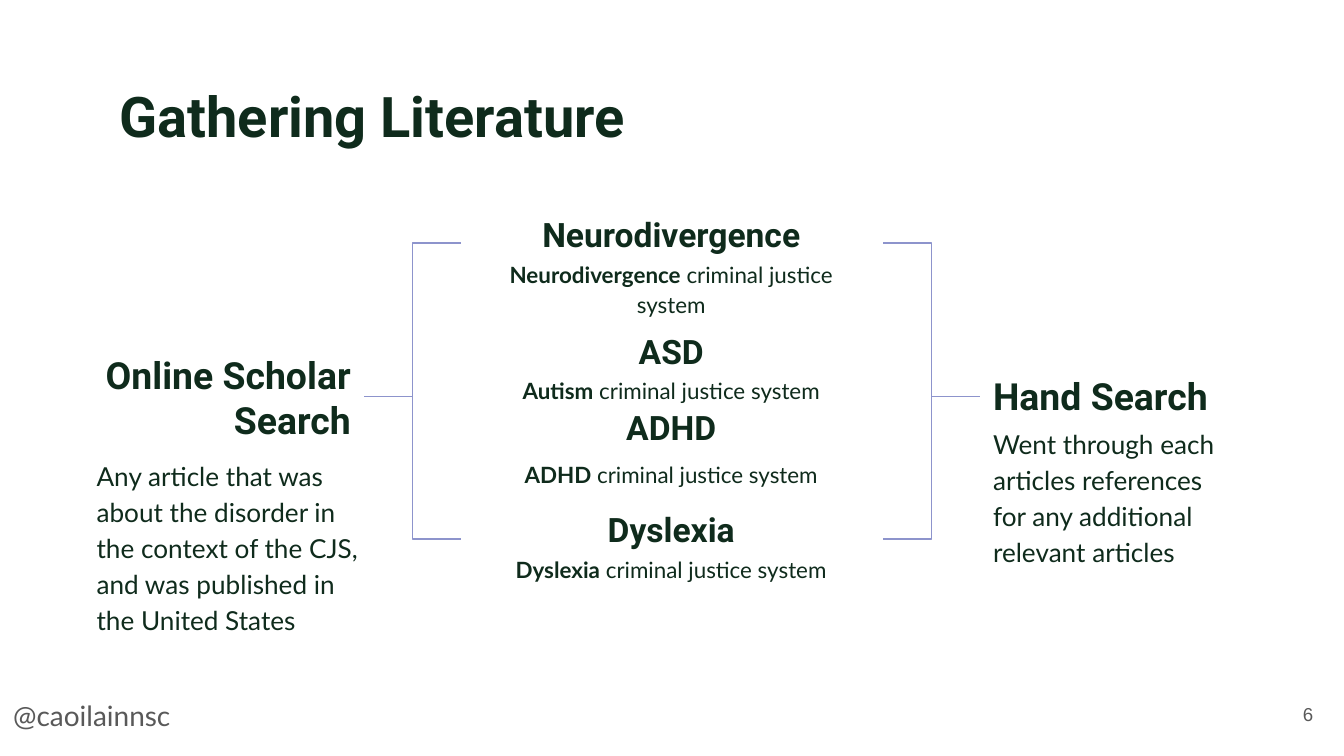
"""Build the Gathering Literature slide: two search methods bracketing four search terms."""
from dataclasses import dataclass

from pptx import Presentation
from pptx.dml.color import RGBColor
from pptx.enum.shapes import MSO_CONNECTOR as Conn
from pptx.enum.text import MSO_ANCHOR as Anchor, MSO_AUTO_SIZE as AutoSize, PP_ALIGN as Align
from pptx.oxml.ns import qn
from pptx.shapes.autoshape import Shape
from pptx.slide import Slide
from pptx.util import Inches, Pt

COLORS = {"ink": "0F2B1C", "muted": "595959", "bracket": "8D94CC"}
Box = tuple[float, float, float, float]
TERM_LEFT, TERM_WIDTH = 3.43, 3.13


@dataclass(frozen=True)
class Style:
    size: float
    font: str = "Lato"
    color: str = "ink"
    bold: bool = False
    align: Align = Align.LEFT
    anchor: Anchor = Anchor.TOP
    spacing: float = 1.0


@dataclass(frozen=True)
class Term:
    heading: str
    keyword: str
    heading_top: float
    query_top: float
    query_height: float


@dataclass(frozen=True)
class Method:
    heading: str
    heading_box: Box
    align: Align
    detail: str
    detail_box: Box
    joint_x: float
    bracket_x: float


TITLE = Style(30, "Roboto", bold=True)
TERM_HEADING = Style(18, "Roboto", bold=True, align=Align.CENTER, anchor=Anchor.BOTTOM)
QUERY = Style(12, align=Align.CENTER, spacing=1.15)
DETAIL = Style(14, spacing=1.15)
HANDLE = Style(15, color="muted")
PAGE = Style(10, "Arial", "muted", align=Align.RIGHT, anchor=Anchor.MIDDLE)

TERMS = [
    Term("Neurodivergence", "Neurodivergence", 1.63, 1.81, 0.52),
    Term("ASD", "Autism", 2.5, 2.68, 0.36),
    Term("ADHD", "ADHD", 3.07, 3.3, 0.43),
    Term("Dyslexia", "Dyslexia", 3.83, 4.01, 0.52),
]
METHODS = [
    Method("Online Scholar Search", (0.46, 2.52, 2.25, 0.87), Align.RIGHT,
           "Any article that was about the disorder in the context of the CJS, "
           "and was published in the United States",
           (0.62, 3.29, 2.25, 1.45), 2.71, 3.43),
    Method("Hand Search", (7.29, 2.69, 1.92, 0.52), Align.LEFT,
           "Went through each articles references for any additional relevant articles",
           (7.29, 3.05, 1.92, 1.14), 7.29, 6.57),
]
JOINT_Y = 2.95
BRACKET_ENDS = (1.81, 4.01)


def rgb(name: str) -> RGBColor:
    return RGBColor.from_string(COLORS[name])


def fill_text(sp: Shape, box: Box, style: Style, text: str, lead: str = "") -> None:
    """Place a shape and write its paragraph, after an optional bold lead."""
    sp.left, sp.top, sp.width, sp.height = map(Inches, box)
    tf = sp.text_frame
    tf.word_wrap = True
    tf.auto_size = AutoSize.NONE
    tf.vertical_anchor = style.anchor
    tf.margin_left = tf.margin_right = tf.margin_top = tf.margin_bottom = Inches(0.1)
    p = tf.paragraphs[0]
    p.alignment, p.line_spacing = style.align, style.spacing
    p.font.size, p.font.name, p.font.bold = Pt(style.size), style.font, style.bold
    p.font.color.rgb = rgb(style.color)
    if lead:
        r = p.add_run()
        r.text, r.font.bold = lead, True
    p.add_run().text = text


def add_text(s: Slide, box: Box, style: Style, text: str, lead: str = "") -> None:
    fill_text(s.shapes.add_textbox(0, 0, 0, 0), box, style, text, lead)


def add_term(s: Slide, term: Term) -> None:
    add_text(s, (TERM_LEFT, term.heading_top, TERM_WIDTH, 0.36), TERM_HEADING, term.heading)
    add_text(s, (TERM_LEFT, term.query_top, TERM_WIDTH, term.query_height), QUERY,
             " criminal justice system", term.keyword)


def add_method(s: Slide, method: Method) -> None:
    heading = Style(20, "Roboto", bold=True, align=method.align, anchor=Anchor.BOTTOM)
    add_text(s, method.heading_box, heading, method.heading)
    add_text(s, method.detail_box, DETAIL, method.detail)
    for end_y in BRACKET_ENDS:
        cxn = s.shapes.add_connector(Conn.ELBOW, Inches(method.joint_x), Inches(JOINT_Y),
                                     Inches(method.bracket_x), Inches(end_y))
        cxn.line.color.rgb = rgb("bracket")
        cxn.line.width = Pt(0.75)
        sp_pr = cxn._element.spPr
        sp_pr.append(sp_pr.makeelement(qn("a:effectLst"), {}))


def main() -> None:
    prs = Presentation()
    prs.slide_width = Inches(10)
    prs.slide_height = Inches(10 * 9 / 16)
    s = prs.slides.add_slide(prs.slide_layouts[5])
    fill_text(s.shapes.title, (0.79, 0.51, 8.43, 0.69), TITLE, "Gathering Literature")
    for term in TERMS:
        add_term(s, term)
    for method in METHODS:
        add_method(s, method)
    add_text(s, (0, 5.1, 2.02, 0.53), HANDLE, "@caoilainnsc")
    add_text(s, (9.27, 5.1, 0.6, 0.43), PAGE, "6")
    prs.save("out.pptx")


if __name__ == "__main__":
    main()
